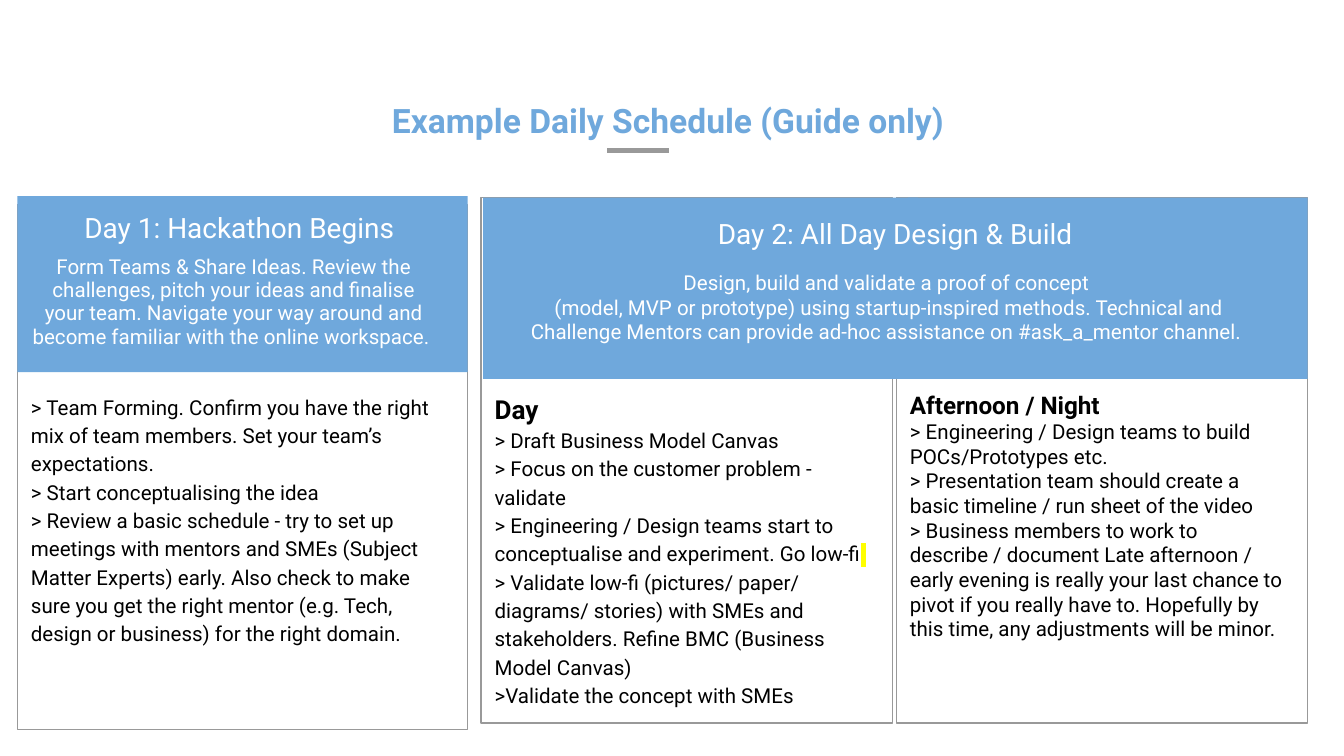
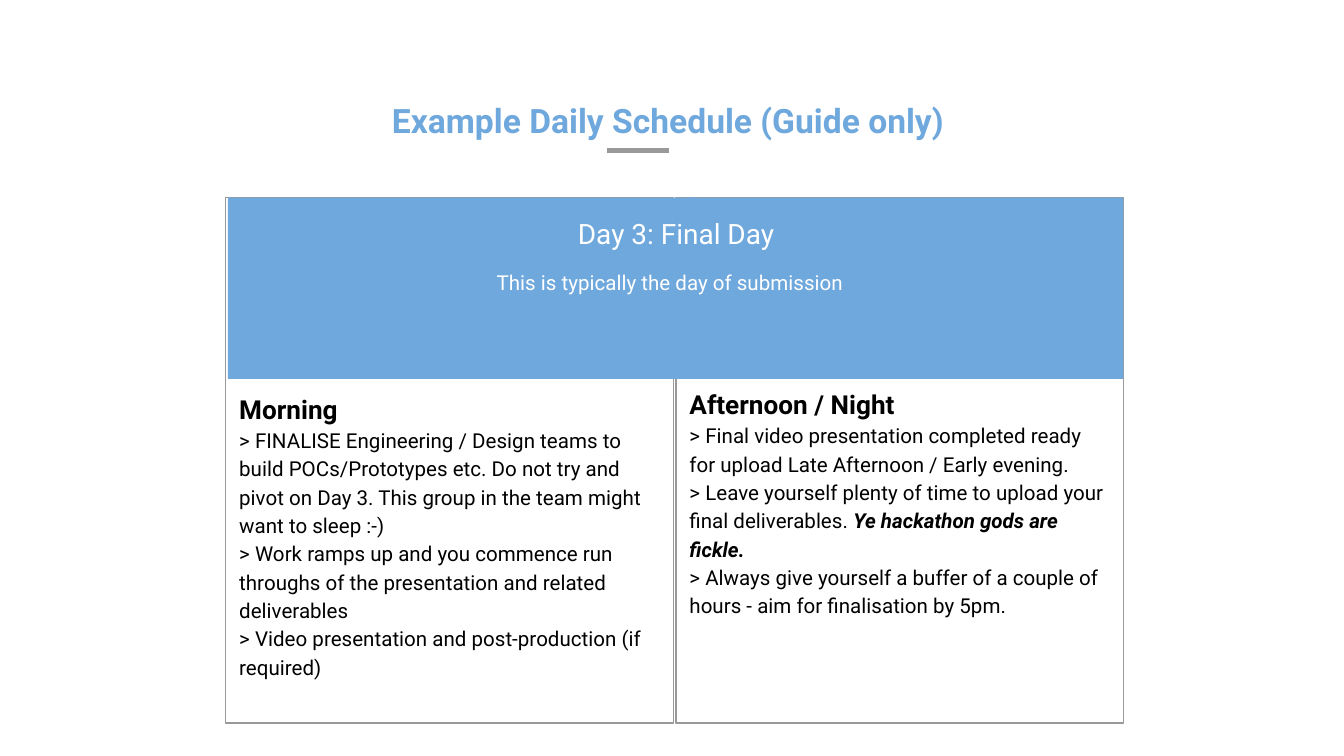
from lxml.etree import SubElement
from pptx import Presentation
from pptx.dml.color import RGBColor
from pptx.enum.shapes import MSO_CONNECTOR as Line, MSO_SHAPE as Shape
from pptx.enum.text import MSO_ANCHOR as Anchor, MSO_AUTO_SIZE as Auto, PP_ALIGN as Align
from pptx.oxml.ns import qn
from pptx.util import Inches, Pt

COLS, ROWS = 100, 56.25
FONT = "Roboto"
BLUE, GREY, BLACK, WHITE, YELLOW = "6FA8DC", "999999", "000000", "FFFFFF", "FFFF00"
TOP, TALL, BAND = 14.7, 39.1, 13.5
TITLE = "Example Daily Schedule (Guide only)"


def hue(code):
    return RGBColor.from_string(code)


class Deck:
    def __init__(self):
        self.prs = Presentation()
        self.prs.slide_width = Inches(10)
        self.prs.slide_height = Inches(10) * 9 // 16

    def place(self, left, top, wide, high):
        col, row = self.prs.slide_width / COLS, self.prs.slide_height / ROWS
        return [round(n) for n in (left * col, top * row, wide * col, high * row)]

    def start(self):
        self.slide = self.prs.slides.add_slide(self.prs.slide_layouts[4])
        self.tree = self.slide.shapes
        self.slots = [s for s in self.slide.placeholders if s != self.tree.title]

    def finish(self):
        self.title()
        for slot in self.slots:
            slot.element.getparent().remove(slot.element)

    def rect(self, box, fill=None):
        shape = self.tree.add_shape(Shape.RECTANGLE, *self.place(*box))
        shape.shadow.inherit = False
        if fill:
            shape.fill.solid()
            shape.fill.fore_color.rgb = hue(fill)
            shape.line.fill.background()
        else:
            shape.fill.background()
            shape.line.color.rgb = hue(GREY)
            shape.line.width = Pt(0.75)

    def rule(self, left, top, wide):
        x, y, w, _ = self.place(left, top, wide, 0)
        line = self.tree.add_connector(Line.STRAIGHT, x, y, x + w, y)
        line.line.color.rgb = hue(GREY)
        line.line.width = Pt(2.25)
        SubElement(line.element.spPr, qn("a:effectLst"))

    def style(self, run, size, color, bold=False, slant=False):
        font = run.font
        font.name, font.size, font.bold, font.italic = FONT, Pt(size), bold, slant
        font.color.rgb = hue(color)

    def text(self, shape, box, lines, size, color, align=Align.LEFT, space=1.0, bold=False):
        shape.left, shape.top, shape.width, shape.height = self.place(*box)
        frame = shape.text_frame
        frame.text = "\n".join(lines)
        frame.word_wrap, frame.auto_size = True, Auto.NONE
        frame.vertical_anchor = Anchor.TOP
        frame.margin_left = frame.margin_right = Inches(0.1)
        frame.margin_top = frame.margin_bottom = Inches(0.1)
        for para in frame.paragraphs:
            para.alignment, para.line_spacing = align, space
            para.space_before = para.space_after = Pt(0)
            for run in para.runs:
                self.style(run, size, color, bold)
        return frame

    def title(self):
        shape = self.tree.title
        self.text(shape, (0, 6.4, 99.4, 5), [TITLE], 18, BLUE, Align.CENTER, bold=True)
        self.rule(45.2, 11.2, 4.6)

    def label(self, box, lines, size, space=1.0):
        shape = self.tree.add_textbox(0, 0, 0, 0)
        self.text(shape, box, lines, size, WHITE, Align.CENTER, space)

    def items(self, box, lines, space=1.15, head=0, lead=1.15, drop=0.1):
        slot = self.slots.pop(0)
        frame = self.text(slot, box, lines, 11, BLACK, space=space)
        frame.margin_top = Inches(drop)
        for para in frame.paragraphs:
            props = para._p.get_or_add_pPr()
            props.set("marL", "0")
            props.set("indent", "0")
            SubElement(props, qn("a:buNone"))
        if head:
            first = frame.paragraphs[0]
            first.line_spacing = lead
            self.style(first.runs[0], head, BLACK, True)
        return frame.paragraphs

    def tail(self, para, words, bold=False, mark=None):
        run = para.add_run()
        run.text = words
        self.style(run, 11, BLACK, bold, bold)
        if mark:
            light = SubElement(run.font._element, qn("a:highlight"))
            SubElement(light, qn("a:srgbClr")).set("val", mark)
            run.font._element.find(qn("a:solidFill")).addnext(light)

    def pair(self, left, half, gap, name, about, high):
        right = left + half + gap
        for x in (right, left):
            self.rect((x, TOP, half, TALL))
        self.rect((right + 0.85, TOP, half - 0.85, BAND), BLUE)
        self.rect((left + 0.15, TOP, half + 1.75, BAND), BLUE)
        self.label((left - 0.45, TOP, 2 * half + 0.8, 12.2), [name], 15, 1.15)
        self.label((left + 1.1, 19.1, 2 * half - 2.7, high), about, 11)
        return right


def first(deck):
    deck.start()
    right = deck.pair(35.8, 30.6, 0.3, " Day 2: All Day Design & Build", [
        "Design, build and validate a proof of concept ",
        "(model, MVP or prototype) using startup-inspired methods. Technical and "
        "Challenge Mentors can provide ad-hoc assistance on #ask_a_mentor channel. "], 7.6)
    day = deck.items((35.8, 27.9, 30.6, 23.6), [
        "Day",
        "> Draft Business Model Canvas",
        "> Focus on the customer problem - validate",
        "> Engineering / Design teams start to conceptualise and experiment. Go low-fi",
        "> Validate low-fi (pictures/ paper/ diagrams/ stories) with SMEs and "
        "stakeholders. Refine BMC (Business Model Canvas)",
        ">Validate the concept with SMEs"], head=14)
    deck.tail(day[3], " ", mark=YELLOW)
    deck.rect((1.3, 15.2, 33.5, TALL))
    deck.rect((1.3, 14.6, 33.5, 13.1), BLUE)
    deck.label((0.8, 14.3, 33.5, 14.9), [" Day 1: Hackathon Begins"], 15, 1.15)
    deck.label((1.3, 18, 32.2, 9.4), [
        "Form Teams & Share Ideas. Review the challenges, pitch your ideas and finalise "
        "your team. Navigate your way around and become familiar with the online "
        "workspace. "], 11, 0.95)
    deck.items((1.3, 28.1, 33.5, 24.6), [
        "> Team Forming. Confirm you have the right mix of team members. Set your "
        "team’s expectations.",
        "> Start conceptualising the idea",
        "> Review a basic schedule - try to set up meetings with mentors and SMEs "
        "(Subject Matter Experts) early. Also check to make sure you get the right "
        "mentor (e.g. Tech, design or business) for the right domain."])
    deck.items((right, 26.2, 30.6, 23.6), [
        "Afternoon / Night",
        "> Engineering / Design teams to build POCs/Prototypes etc.",
        "> Presentation team should create a basic timeline / run sheet of the video",
        "> Business members to work to describe / document Late afternoon / early "
        "evening is really your last chance to pivot if you really have to. Hopefully "
        "by this time, any adjustments will be minor."], 1.0, 13, 1.0, 0.28)
    deck.finish()


def second(deck):
    deck.start()
    right = deck.pair(16.8, 33.3, 0.2, " Day 3: Final Day",
                      ["This is typically the day of submission"], 3.9)
    deck.items((16.8, 27.9, 33.3, 25.9), [
        "Morning",
        "> FINALISE Engineering / Design teams to build POCs/Prototypes etc. Do not try "
        "and pivot on Day 3. This group in the team might want to sleep :-)",
        "> Work ramps up and you commence run throughs of the presentation and related "
        "deliverables",
        "> Video presentation and post-production (if required)"], head=14)
    night = deck.items((right, 26.1, 33.3, 27), [
        "Afternoon / Night",
        "> Final video presentation completed ready for upload Late Afternoon / Early "
        "evening.",
        "> Leave yourself plenty of time to upload your final deliverables. ",
        "> Always give yourself a buffer of a couple of hours - aim for finalisation "
        "by 5pm."], head=14, lead=1.0, drop=0.28)
    deck.tail(night[2], "Ye hackathon gods are fickle.", bold=True)
    deck.finish()


def main():
    deck = Deck()
    first(deck)
    second(deck)
    deck.prs.save("out.pptx")


if __name__ == "__main__":
    main()
